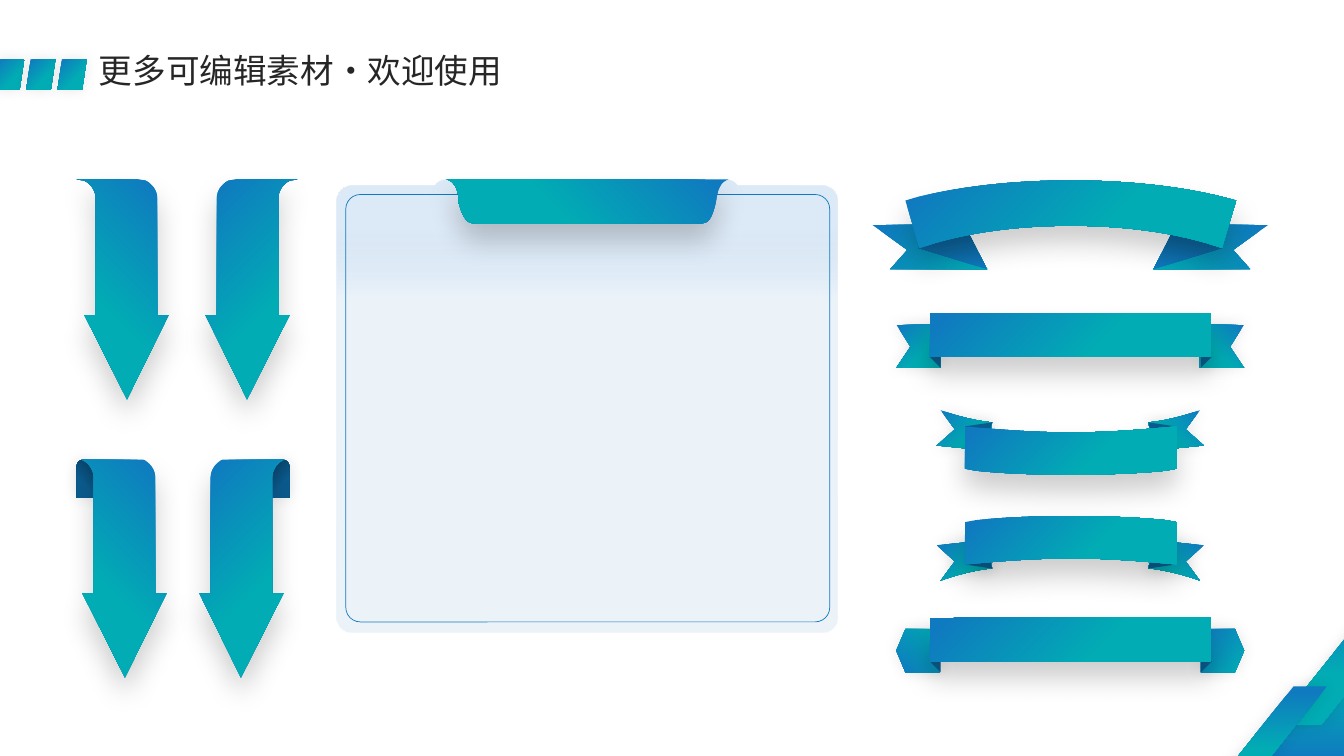
from lxml import etree
from pptx import Presentation
from pptx.dml.color import RGBColor
from pptx.enum.shapes import MSO_SHAPE
from pptx.enum.text import MSO_ANCHOR, MSO_AUTO_SIZE, PP_ALIGN
from pptx.oxml.ns import qn
from pptx.util import Inches, Pt

PARALLELOGRAM = MSO_SHAPE.PARALLELOGRAM
RECTANGLE = MSO_SHAPE.RECTANGLE
ROUNDED = MSO_SHAPE.ROUNDED_RECTANGLE
OVAL = MSO_SHAPE.OVAL
PENTAGON = MSO_SHAPE.PENTAGON
TRIANGLE = MSO_SHAPE.ISOSCELES_TRIANGLE

BLUE = RGBColor(0x0F, 0x7A, 0xBF)
TEAL = RGBColor(0x01, 0xAC, 0xB4)
DARK_BLUE = RGBColor(0x0B, 0x5C, 0x8F)
NAVY = RGBColor(0x08, 0x3D, 0x60)
PALE = RGBColor(0xDC, 0xE9, 0xF6)
MIST = RGBColor(0xBC, 0xD6, 0xED)
INK = RGBColor(0x26, 0x26, 0x26)
FONT = "Noto Sans CJK SC"

# Gradient stops: (position, colour) at each end
MAIN = ((0.05, BLUE), (0.63, TEAL))
WIDE = ((0.05, BLUE), (1, TEAL))
PLAIN = ((0, BLUE), (1, TEAL))
PLAIN_REVERSED = ((0, TEAL), (1, BLUE))
SHADED = ((0, BLUE), (1, DARK_BLUE))
ROLLED = ((0.05, NAVY), (0.63, DARK_BLUE))
CARD = ((0.10, PALE), (0.25, MIST))

# Shadows: opacity %, blur pt, distance pt, direction in degrees
SOFT = (10, 10, 0, 315)
DROP = (20, 20, 12, 90)

prs = Presentation()
prs.slide_width, prs.slide_height = Inches(13.33), Inches(7.5)
slide = prs.slides.add_slide(prs.slide_layouts[5])
shapes = slide.shapes


def paint(shape, fill, shadow=None, angle=45):
    """Fill with one colour or a gradient (angle clockwise), no outline, optional shadow."""
    if isinstance(fill, RGBColor):
        shape.fill.solid()
        shape.fill.fore_color.rgb = fill
    else:
        shape.fill.gradient()
        shape.fill.gradient_angle = (360 - angle) % 360
        for stop, (position, colour) in zip(shape.fill.gradient_stops, fill):
            stop.position = position
            stop.color.rgb = colour
    shape.line.fill.background()
    shape.shadow.inherit = False
    if shadow:
        opacity, blur, distance, direction = shadow
        effects = shape._element.spPr.find(qn("a:effectLst"))
        outer = etree.SubElement(effects, qn("a:outerShdw"), blurRad=str(Pt(blur)),
                                 dist=str(Pt(distance)), dir=str(direction * 60000),
                                 algn="ctr", rotWithShape="0")
        black = etree.SubElement(outer, qn("a:srgbClr"), val="000000")
        etree.SubElement(black, qn("a:alpha"), val=str(opacity * 1000))


def outline(points, fill, shadow=None, angle=45, mirror_x=None, mirror_y=None):
    """Draw a closed outline; pairs are corners, sextuples are Bezier curves.

    A mirror value is the sum of a coordinate and its reflection.
    """
    corners = []
    for point in points:
        if len(point) == 2:
            corners.append(point)
            continue
        x0, y0 = corners[-1]
        x1, y1, x2, y2, x3, y3 = point
        for step in range(1, 13):
            t = step / 12
            a, b, c, d = (1 - t) ** 3, 3 * t * (1 - t) ** 2, 3 * t * t * (1 - t), t ** 3
            corners.append((a * x0 + b * x1 + c * x2 + d * x3,
                            a * y0 + b * y1 + c * y2 + d * y3))
    if mirror_x:
        corners = [(mirror_x - x, y) for x, y in corners]
        angle = (180 - angle) % 360
    if mirror_y:
        corners = [(x, mirror_y - y) for x, y in corners]
    corners = [(Inches(x), Inches(y)) for x, y in corners]
    builder = shapes.build_freeform(*corners[0])
    builder.add_line_segments(corners[1:], close=True)
    paint(builder.convert_to_shape(), fill, shadow, angle)


# Corner decoration and heading marks
decorations = [(12.42, 6.26, 2.17, 1.35, 0.788, 270),
               (12.66, 5.87, 1.5, 1.32, 0.797, 90),
               (12.04, 6.81, 1.12, 0.99, 0.797, 90)]
decorations += [(-0.05 + 0.31 * i, 0.59, 0.29, 0.3, 0.156, 45) for i in range(3)]
for left, top, width, height, slant, angle in decorations:
    stripe = shapes.add_shape(PARALLELOGRAM, Inches(left), Inches(top),
                              Inches(width), Inches(height))
    stripe.adjustments[0] = slant
    paint(stripe, MAIN, SOFT, angle)

# Heading
title = shapes.title
title.left, title.top, title.width, title.height = (
    Inches(0.88), Inches(0.53), Inches(9.89), Inches(0.39))
title.text_frame.text = "更多可编辑素材·欢迎使用"
title.text_frame.auto_size = MSO_AUTO_SIZE.NONE
title.text_frame.vertical_anchor = MSO_ANCHOR.MIDDLE
heading = title.text_frame.paragraphs[0]
heading.alignment = PP_ALIGN.LEFT
heading.line_spacing = 0.9
heading.font.size = Pt(24)
heading.font.name = FONT
heading.font.color.rgb = INK
etree.SubElement(heading._p.pPr.find(qn("a:defRPr")), qn("a:ea"), typeface=FONT)

# Arrows: a flat pair above a rolled pair
flat_arrow = [(1.37, 1.78), (0.76, 1.78), (0.83, 1.79), (0.9, 1.82, 0.95, 1.89, 0.95, 1.97),
              (0.95, 3.13), (0.84, 3.13), (1.26, 3.96), (1.67, 3.13), (1.56, 3.13),
              (1.56, 1.97), (1.56, 1.89, 1.51, 1.82, 1.44, 1.79)]
roll = [(0.83, 4.56), (0.86, 4.56, 0.89, 4.57, 0.9, 4.6), (0.9, 4.63), (0.94, 4.63),
        (0.94, 4.94), (0.76, 4.94), (0.76, 4.63), (0.76, 4.59, 0.79, 4.56, 0.83, 4.56)]
rolled_arrow = [(1.42, 4.56), (0.81, 4.56), (0.88, 4.59, 0.93, 4.66, 0.93, 4.74),
                (0.93, 5.89), (0.82, 5.89), (1.24, 6.72), (1.65, 5.89), (1.54, 5.89),
                (1.54, 4.74), (1.54, 4.66, 1.49, 4.59, 1.42, 4.56)]
for flat_mirror, rolled_mirror in ((None, None), (3.71, 3.63)):
    outline(flat_arrow, MAIN, DROP, 135, flat_mirror)
    outline(roll, ROLLED, SOFT, 135, rolled_mirror)
    outline(rolled_arrow, MAIN, DROP, 135, rolled_mirror)

# Arched banner
BANNER_MIRROR = 21.23
arch_tail = [(9.05, 2.23), (8.65, 2.23), (9, 2.48), (8.83, 2.67), (9.79, 2.67), (9.61, 2.33),
             (9.58, 2.34), (9.48, 2.36, 9.38, 2.38, 9.28, 2.41), (9.12, 2.46)]
arch_fold = [(9.61, 2.32), (9.58, 2.33), (9.47, 2.35, 9.37, 2.38, 9.27, 2.4),
             (9.11, 2.46), (9.79, 2.67)]
arch = [(10.62, 1.79), (11.19, 1.79, 11.72, 1.85, 12.15, 1.96), (12.26, 1.99), (12.12, 2.46),
        (11.96, 2.41), (11.58, 2.3, 11.12, 2.24, 10.62, 2.24),
        (10.12, 2.24, 9.66, 2.3, 9.28, 2.41), (9.12, 2.46), (8.98, 1.99), (9.08, 1.96),
        (9.52, 1.85, 10.05, 1.79, 10.62, 1.79)]
for mirror in (None, BANNER_MIRROR):
    outline(arch_tail, WIDE, mirror_x=mirror)
    outline(arch_fold, SHADED, angle=260, mirror_x=mirror)
outline(arch, MAIN, DROP)

# Straight banners: notched tails above, pointed tails below
notched_tail = [(8.89, 3.22), (9.33, 3.22), (9.33, 3.65), (8.89, 3.65), (9.03, 3.44)]
for top, pointed in ((3.11, False), (6.13, True)):
    for mirror, tail_left, fold_left in ((None, 8.89, 9.22), (BANNER_MIRROR, 11.91, 11.91)):
        if pointed:
            tail = shapes.add_shape(PENTAGON, Inches(tail_left), Inches(top + 0.11),
                                    Inches(0.43), Inches(0.43))
            tail.adjustments[0] = 0.211
            if not mirror:
                tail._element.spPr.find(qn("a:xfrm")).set("flipH", "1")
            paint(tail, PLAIN if mirror else PLAIN_REVERSED, SOFT)
        else:
            outline(notched_tail, MAIN, SOFT, mirror_x=mirror)
        fold = shapes.add_shape(TRIANGLE, Inches(fold_left), Inches(top + 0.43),
                                Inches(0.11), Inches(0.11))
        fold.adjustments[0] = 1
        frame = fold._element.spPr.find(qn("a:xfrm"))
        frame.set("flipV", "1")
        if mirror:
            frame.set("flipH", "1")
        paint(fold, DARK_BLUE, SOFT)
    band = shapes.add_shape(RECTANGLE, Inches(9.22), Inches(top), Inches(2.79), Inches(0.43))
    paint(band, MAIN, DROP)

# Curved banners: sagging, then the same one turned upside down
curved_tail = [(9.29, 4.42), (9.79, 4.47), (9.84, 4.19), (9.7, 4.18, 9.5, 4.13, 9.33, 4.07),
               (9.47, 4.26)]
curved_fold = [(9.57, 4.23), (9.84, 4.19), (9.82, 4.27), (9.74, 4.26, 9.66, 4.26, 9.57, 4.23)]
curved_band = [(11.67, 4.23), (11.67, 4.65), (11.56, 4.67), (11.27, 4.7, 10.95, 4.71, 10.62, 4.71),
               (10.29, 4.71, 9.97, 4.7, 9.68, 4.67), (9.57, 4.65), (9.57, 4.23),
               (9.89, 4.26, 10.25, 4.29, 10.62, 4.29), (11, 4.29, 11.35, 4.26, 11.67, 4.23)]
for upside_down in (None, 9.83):
    for mirror in (None, BANNER_MIRROR):
        outline(curved_tail, MAIN, SOFT, mirror_x=mirror, mirror_y=upside_down)
        outline(curved_fold, DARK_BLUE, SOFT, mirror_x=mirror, mirror_y=upside_down)
    outline(curved_band, MAIN, DROP, mirror_y=upside_down)

# Card with a ribbon tab
card = shapes.add_shape(ROUNDED, Inches(3.34), Inches(1.84), Inches(4.97), Inches(4.43))
card.adjustments[0] = 0.034
paint(card, CARD, angle=90)
last_colour = card._element.spPr.findall(".//" + qn("a:srgbClr"))[-1]
etree.SubElement(last_colour, qn("a:alpha"), val="30000")
for left in (4.29, 7.07):
    shoulder = shapes.add_shape(OVAL, Inches(left), Inches(1.78), Inches(0.27), Inches(0.27))
    paint(shoulder, PALE)
border = shapes.add_shape(ROUNDED, Inches(3.43), Inches(1.93), Inches(4.8), Inches(4.24))
border.adjustments[0] = 0.034
border.fill.background()
border.line.color.rgb = BLUE
border.line.width = Pt(0.5)
border.shadow.inherit = False
tab = [(4.43, 1.78), (7.23, 1.78), (7.19, 1.79, 7.16, 1.82, 7.15, 1.84),
       (7.12, 1.89, 7.11, 1.94, 7.1, 2.01), (7.08, 2.09, 7.05, 2.2, 6.99, 2.21),
       (6.96, 2.22, 6.94, 2.22, 6.92, 2.22), (4.74, 2.22), (4.72, 2.22, 4.7, 2.22, 4.67, 2.21),
       (4.61, 2.2, 4.57, 2.09, 4.55, 2.01), (4.55, 1.94, 4.54, 1.89, 4.51, 1.84),
       (4.5, 1.82, 4.47, 1.79, 4.43, 1.78)]
outline(tab, MAIN, DROP, 135)

prs.save("out.pptx")
